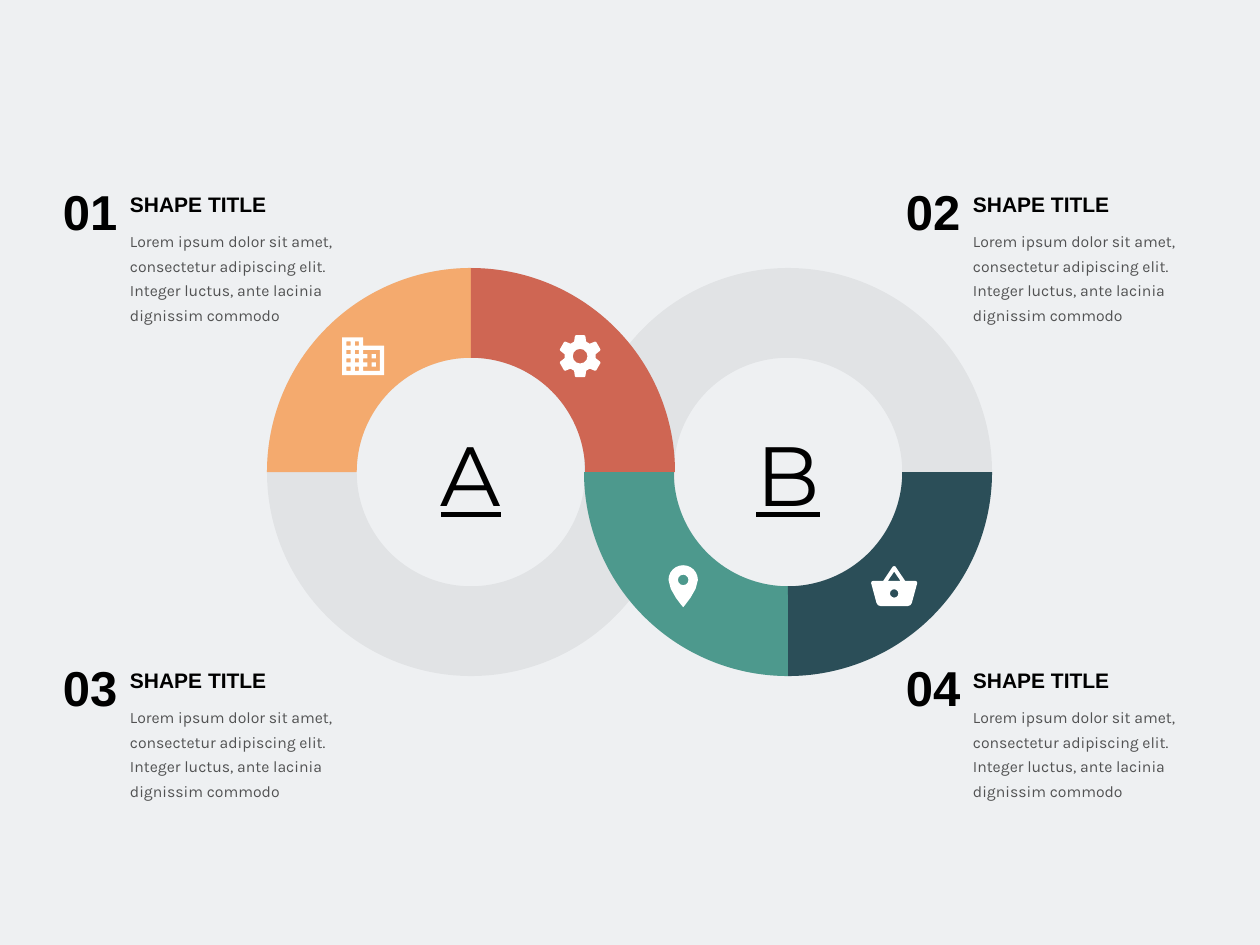
"""Build a slide of two linked rings with four coloured quarters and four captions."""
from dataclasses import dataclass
from math import cos, radians, sin

from lxml.etree import SubElement
from pptx import Presentation
from pptx.dml.color import RGBColor
from pptx.enum.shapes import MSO_SHAPE
from pptx.enum.text import MSO_ANCHOR, MSO_AUTO_SIZE, PP_ALIGN
from pptx.oxml.ns import qn
from pptx.util import Pt

SCALE = 914400 / 126
COLORS = {
    "back": "EEF0F2", "black": "000000", "white": "FFFFFF",
    "orange": "F4AA6E", "red": "CF6653", "teal": "4D998D", "navy": "2B4E58",
}
RADIUS = 204
THICKNESS = 0.22
ANGLE_UNIT = 0.6
ICON_UNIT = 2.1
LOREM = ("Lorem ipsum dolor sit amet, consectetur adipiscing elit. "
         "Integer luctus, ante lacinia dignissim commodo")

Points = list[tuple[float, float]]


@dataclass
class Ring:
    letter: str
    cx: int
    cy: int


@dataclass
class Quarter:
    ring: Ring
    start: int
    color: str


@dataclass
class Caption:
    number: str
    x: int
    y: int


@dataclass
class Icon:
    x: int
    y: int
    contours: list[Points]


def px(value: float) -> int:
    return round(value * SCALE)


def rgb(name: str) -> RGBColor:
    return RGBColor.from_string(COLORS[name])


def set_alpha(sp, percent: int) -> None:
    for color in sp._element.iter(qn("a:srgbClr")):
        SubElement(color, qn("a:alpha"), val=str(percent * 1000))


def paint(sp, color: str) -> None:
    sp.shadow.inherit = False
    sp.fill.solid()
    sp.fill.fore_color.rgb = rgb(color)
    sp.line.fill.background()


def arc(cx: float, cy: float, r: float, start: int, end: int, step: int) -> Points:
    return [(cx + r * cos(radians(a)), cy + r * sin(radians(a)))
            for a in range(start, end + 1, step)]


def circle(cx: float, cy: float, r: float) -> Points:
    return arc(cx, cy, r, 0, 330, 30)


def box(x: int, y: int, w: int = 2, h: int = 2) -> Points:
    return [(x, y), (x + w, y), (x + w, y + h), (x, y + h)]


def add_text(s, text: str, x: int, y: int, w: int, h: int, *, size: int,
             font: str = "Arial", bold: bool = False, underline: bool = False,
             align=PP_ALIGN.LEFT, anchor=MSO_ANCHOR.MIDDLE, spacing: float = 1.0,
             grow: bool = False, alpha: int = 100) -> None:
    sp = s.shapes.add_textbox(px(x), px(y), px(w), px(h))
    tf = sp.text_frame
    tf.word_wrap = True
    tf.auto_size = MSO_AUTO_SIZE.SHAPE_TO_FIT_TEXT if grow else MSO_AUTO_SIZE.NONE
    tf.margin_left = tf.margin_right = tf.margin_top = tf.margin_bottom = 0
    tf.vertical_anchor = anchor
    p = tf.paragraphs[0]
    p.alignment = align
    p.line_spacing = spacing
    r = p.add_run()
    r.text = text
    r.font.name, r.font.size = font, Pt(size)
    r.font.bold, r.font.underline = bold, underline
    r.font.color.rgb = rgb("black")
    if alpha < 100:
        set_alpha(sp, alpha)


def add_round(s, kind: MSO_SHAPE, ring: Ring, color: str, adjustments: list[float]):
    sp = s.shapes.add_shape(kind, px(ring.cx - RADIUS), px(ring.cy - RADIUS),
                            px(2 * RADIUS), px(2 * RADIUS))
    for i, value in enumerate(adjustments):
        sp.adjustments[i] = value
    paint(sp, color)
    return sp


def add_ring(s, ring: Ring) -> None:
    set_alpha(add_round(s, MSO_SHAPE.DONUT, ring, "black", [THICKNESS]), 5)


def add_quarter(s, q: Quarter) -> None:
    end = (q.start + 90) % 360
    add_round(s, MSO_SHAPE.BLOCK_ARC, q.ring, q.color,
              [q.start * ANGLE_UNIT, end * ANGLE_UNIT, THICKNESS])


def add_caption(s, c: Caption) -> None:
    add_text(s, LOREM, c.x + 80, c.y + 45, 237, 72, size=9, font="Karla",
             anchor=MSO_ANCHOR.TOP, spacing=1.3, grow=True, alpha=65)
    add_text(s, "SHAPE TITLE", c.x + 80, c.y + 11, 237, 25, size=12, bold=True, grow=True)
    add_text(s, c.number, c.x, c.y, 80, 59, size=28, bold=True, align=PP_ALIGN.CENTER)


def add_icon(s, icon: Icon) -> None:
    first, *rest = [[(px(icon.x + x * ICON_UNIT), px(icon.y + y * ICON_UNIT))
                     for x, y in points] for points in icon.contours]
    builder = s.shapes.build_freeform(*first[0], scale=1.0)
    builder.add_line_segments(first[1:], close=True)
    for points in rest:
        builder.move_to(*points[0])
        builder.add_line_segments(points[1:], close=True)
    paint(builder.convert_to_shape(), "white")


def gear() -> Points:
    tooth = [(-2.87, -6.93), (-2.49, -9.58), (-2, -10), (2, -10), (2.49, -9.58), (2.87, -6.93)]
    turns = [radians(60 * i) for i in range(6)]
    return [(12 + x * cos(a) - y * sin(a), 12 + x * sin(a) + y * cos(a))
            for a in turns for x, y in tooth]


def mirrored(half: Points) -> Points:
    return half + [(24 - x, y) for x, y in reversed(half)]


BASKET = mirrored([(12, 2), (11.5, 2.1), (11.17, 2.45), (6.79, 9), (2, 9), (1.3, 9.3),
                   (1, 10), (3.58, 19.54), (4.3, 20.6), (5.5, 21)])
PIN = arc(12, 9, 7, 180, 360, 15) + [(17.9, 13.25), (15.5, 17.47), (13.09, 20.7), (12, 22),
                                     (10.91, 20.7), (8.5, 17.47), (6.1, 13.25)]
OFFICE = [(2, 3), (12, 3), (12, 7), (22, 7), (22, 21), (2, 21)]
ROOMS = [(20, 9), (20, 19), (12, 19), (12, 17), (14, 17), (14, 15), (12, 15),
         (12, 13), (14, 13), (14, 11), (12, 11), (12, 9)]
WINDOWS = [box(x, y) for x in (4, 8) for y in range(5, 18, 4)]

RING_A, RING_B = Ring("A", 471, 472), Ring("B", 788, 472)
QUARTERS = [
    Quarter(RING_A, 180, "orange"), Quarter(RING_A, 270, "red"),
    Quarter(RING_B, 90, "teal"), Quarter(RING_B, 0, "navy"),
]
CAPTIONS = [Caption(f"{2 * row + col + 1:02}", 50 + 843 * col, 181 + 476 * row)
            for col in range(2) for row in range(2)]
ICONS = [
    Icon(869, 562, [BASKET, [(9, 9), (12, 4.6), (15, 9)], circle(12, 15, 2)]),
    Icon(658, 561, [PIN, circle(12, 9, 2.5)]),
    Icon(555, 331, [gear(), circle(12, 12, 3.5)]),
    Icon(338, 331, [OFFICE, ROOMS, *WINDOWS, box(16, 11), box(16, 15)]),
]


def main() -> None:
    prs = Presentation()
    prs.slide_width, prs.slide_height = px(1260), px(945)
    s = prs.slides.add_slide(prs.slide_layouts[6])
    s.background.fill.solid()
    s.background.fill.fore_color.rgb = rgb("back")
    for ring in (RING_B, RING_A):
        add_ring(s, ring)
    for quarter in QUARTERS:
        add_quarter(s, quarter)
    for caption in CAPTIONS:
        add_caption(s, caption)
    for icon in ICONS:
        add_icon(s, icon)
    for ring in (RING_A, RING_B):
        add_text(s, ring.letter, ring.cx - 53, ring.cy - 52, 106, 105, size=48,
                 font="Montserrat", underline=True, align=PP_ALIGN.CENTER)
    prs.save("out.pptx")


if __name__ == "__main__":
    main()
